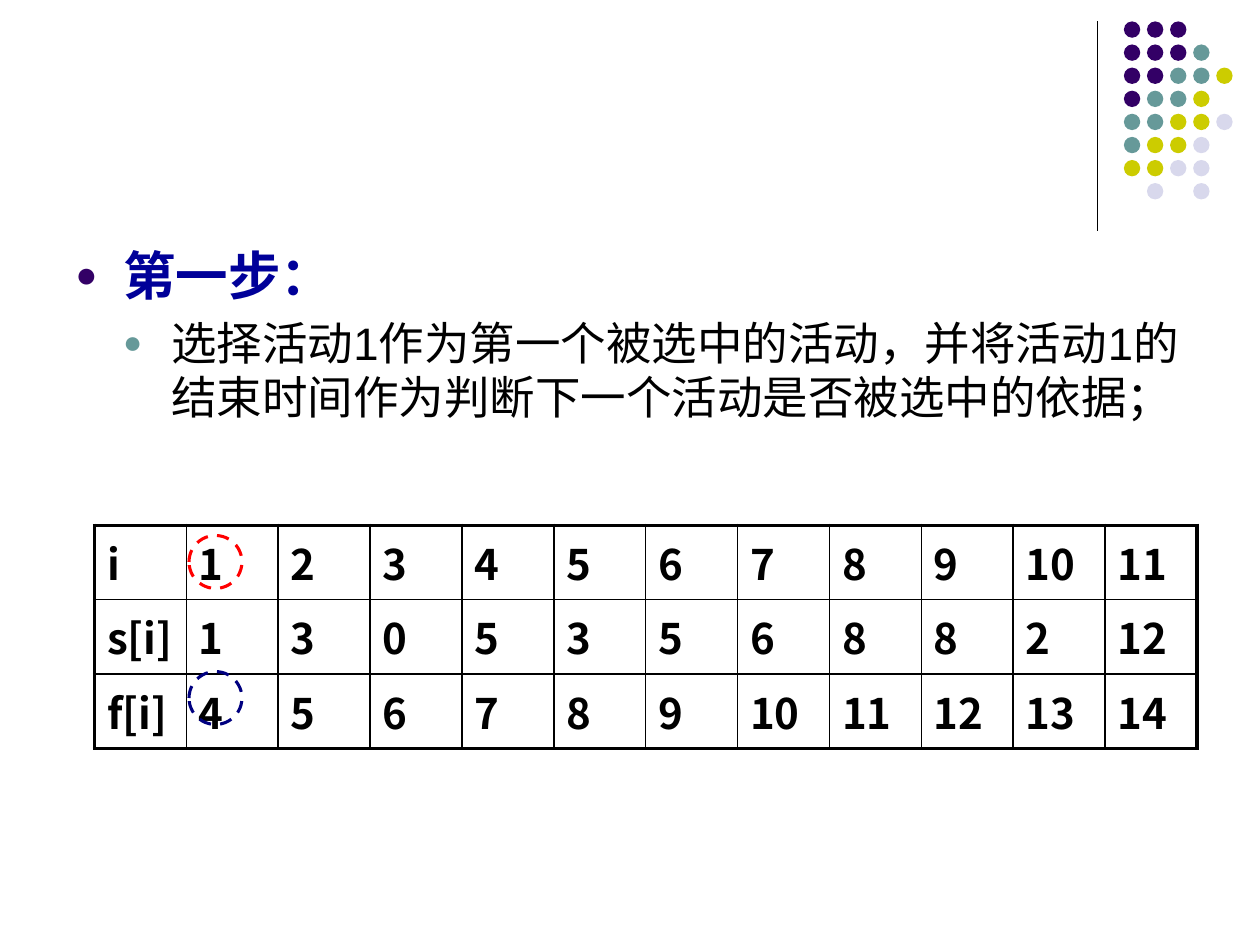
import pptx
import pptx.dml.color
import pptx.enum.dml
import pptx.enum.shapes
import pptx.oxml.ns
import pptx.util
from lxml import etree

Inches = pptx.util.Inches
Pt = pptx.util.Pt
RGBColor = pptx.dml.color.RGBColor
qn = pptx.oxml.ns.qn

BLACK = RGBColor(0x00, 0x00, 0x00)
PURPLE = RGBColor(0x33, 0x00, 0x66)
TEAL = RGBColor(0x66, 0x99, 0x99)
OLIVE = RGBColor(0xCC, 0xCC, 0x00)
LILAC = RGBColor(0xD8, 0xD8, 0xEC)
BLUE = RGBColor(0x00, 0x00, 0x99)
NAVY = RGBColor(0x00, 0x00, 0x80)
RED = RGBColor(0xFF, 0x00, 0x00)

DOT_COLORS = {"P": PURPLE, "T": TEAL, "O": OLIVE, "L": LILAC}
DOT_ROWS = ["PPP", "PPPT", "PPTTO", "PTTO", "TTOOL", "TOOL", "OOLL", " L L"]
DOT_STEP = 1.1 / 6

ACTIVITIES = [
    ["i", 1, 2, 3, 4, 5, 6, 7, 8, 9, 10, 11],
    ["s[i]", 1, 3, 0, 5, 3, 5, 6, 8, 8, 2, 12],
    ["f[i]", 4, 5, 6, 7, 8, 9, 10, 11, 12, 13, 14],
]


class SlideBuilder:
    latin = "Arial"
    cjk = "Noto Sans CJK SC"

    def __init__(self, slide):
        self.slide = slide

    def run(self, p, text, size, color, bold=False, font=None):
        r = p.add_run()
        r.text = text
        r.font.size = Pt(size)
        r.font.bold = bold
        r.font.color.rgb = color
        r.font.name = font or self.latin
        etree.SubElement(r.font._element, qn("a:ea"), typeface=self.cjk)

    def line(self, x1, y1, x2, y2, color, width):
        c = self.slide.shapes.add_connector(
            pptx.enum.shapes.MSO_CONNECTOR.STRAIGHT,
            Inches(x1), Inches(y1), Inches(x2), Inches(y2))
        c.line.color.rgb = color
        c.line.width = Pt(width)
        etree.SubElement(c._element.spPr, qn("a:effectLst"))

    def ellipse(self, x, y, size):
        sp = self.slide.shapes.add_shape(
            pptx.enum.shapes.MSO_SHAPE.OVAL,
            Inches(x), Inches(y), Inches(size), Inches(size))
        sp.shadow.inherit = False
        return sp

    def dot(self, x, y, size, color):
        sp = self.ellipse(x, y, size)
        sp.fill.solid()
        sp.fill.fore_color.rgb = color
        sp.line.fill.background()

    def ring(self, x, y, size, color):
        sp = self.ellipse(x, y, size)
        sp.fill.background()
        sp.line.color.rgb = color
        sp.line.width = Pt(1.75)
        sp.line.dash_style = pptx.enum.dml.MSO_LINE.DASH

    def text_box(self, x, y, w, h):
        tf = self.slide.shapes.add_textbox(
            Inches(x), Inches(y), Inches(w), Inches(h)).text_frame
        tf.word_wrap = True
        return tf

    def bullet(self, p, level, color):
        p.level = level
        pPr = p._p.get_or_add_pPr()
        pPr.set("marL", str(Inches(0.38 * (level + 1))))
        pPr.set("indent", str(Inches(-0.38)))
        clr = etree.SubElement(pPr, qn("a:buClr"))
        etree.SubElement(clr, qn("a:srgbClr"), val=str(color))
        etree.SubElement(pPr, qn("a:buSzPct"), val="70000")
        etree.SubElement(pPr, qn("a:buFont"), typeface=self.latin)
        etree.SubElement(pPr, qn("a:buChar"), char="●")

    def border(self, cell, side, width):
        ln = etree.SubElement(cell._tc.get_or_add_tcPr(), qn("a:ln" + side),
                              w=str(Pt(width)))
        fill = etree.SubElement(ln, qn("a:solidFill"))
        etree.SubElement(fill, qn("a:srgbClr"), val=str(BLACK))

    def table(self, x, y, w, row_h, rows):
        n_rows, n_cols = len(rows), len(rows[0])
        table = self.slide.shapes.add_table(
            n_rows, n_cols, Inches(x), Inches(y),
            Inches(w), Inches(row_h * n_rows)).table
        table.first_row = False
        table.horz_banding = False
        for i, values in enumerate(rows):
            for j, value in enumerate(values):
                cell = table.cell(i, j)
                outer = {"L": j == 0, "R": j == n_cols - 1,
                         "T": i == 0, "B": i == n_rows - 1}
                for side, is_outer in outer.items():
                    self.border(cell, side, 2.25 if is_outer else 1)
                cell.fill.background()
                self.run(cell.text_frame.paragraphs[0], str(value),
                         24, BLACK, True, self.cjk)


def main():
    prs = pptx.Presentation()
    prs.slide_width = Inches(10)
    prs.slide_height = Inches(7.5)
    s = SlideBuilder(prs.slides.add_slide(prs.slide_layouts[6]))

    s.line(8.71, 0.17, 8.71, 1.83, BLACK, 0.75)
    for i, row in enumerate(DOT_ROWS):
        for j, key in enumerate(row):
            if key in DOT_COLORS:
                s.dot(8.92 + j * DOT_STEP, 0.17 + i * DOT_STEP, 0.13,
                      DOT_COLORS[key])

    tf = s.text_box(0.5, 1.88, 9.17, 1.62)
    p = tf.paragraphs[0]
    s.bullet(p, 0, PURPLE)
    s.run(p, "第一步：", 30, BLUE, True)
    p = tf.add_paragraph()
    s.bullet(p, 1, TEAL)
    p.space_before = Pt(5)
    s.run(p, "选择活动1作为第一个被选中的活动，并将活动1的结束时间作为"
             "判断下一个活动是否被选中的依据；", 26, BLACK)

    s.table(0.75, 4.17, 8.75, 0.59, ACTIVITIES)
    s.ring(1.5, 4.25, 0.42, RED)
    s.ring(1.5, 5.33, 0.42, NAVY)

    prs.save("out.pptx")


if __name__ == "__main__":
    main()
